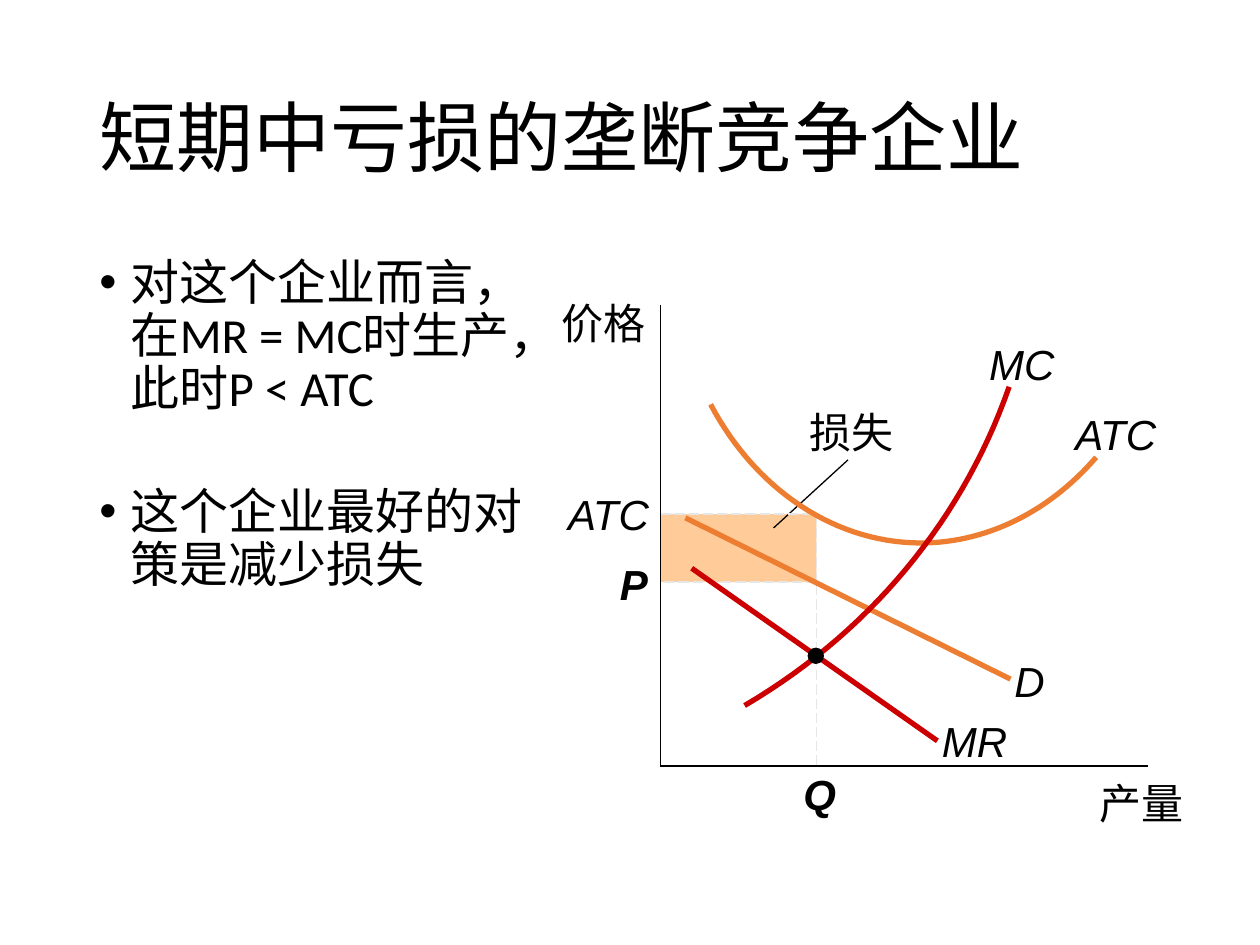
from dataclasses import dataclass

from lxml.etree import SubElement
from pptx import Presentation
from pptx.dml.color import RGBColor
from pptx.enum.dml import MSO_LINE
from pptx.enum.shapes import MSO_CONNECTOR, MSO_SHAPE
from pptx.enum.text import MSO_ANCHOR, PP_ALIGN
from pptx.oxml.ns import qn
from pptx.util import Inches, Pt


@dataclass(frozen=True)
class Theme:
    black: RGBColor = RGBColor(0x00, 0x00, 0x00)
    orange: RGBColor = RGBColor(0xED, 0x7D, 0x31)
    red: RGBColor = RGBColor(0xCC, 0x00, 0x00)
    loss: RGBColor = RGBColor(0xFF, 0xCC, 0x99)
    guide: RGBColor = RGBColor(0xE7, 0xE6, 0xE6)
    text_font: str = "Calibri"
    label_font: str = "Arial"
    title_size: Pt = Pt(44)
    body_size: Pt = Pt(28)
    label_size: Pt = Pt(24)
    thin: Pt = Pt(0.75)
    thick: Pt = Pt(3)


theme = Theme()


def style_paragraph(paragraph, font_name, size, bold=False, italic=False):
    for run in paragraph.runs:
        run.font.name = font_name
        run.font.size = size
        run.font.bold = bold
        run.font.italic = italic
        run.font.color.rgb = theme.black


def bezier_point(points, t):
    weights = ((1 - t) ** 3, 3 * t * (1 - t) ** 2, 3 * t**2 * (1 - t), t**3)
    return tuple(
        Inches(sum(weight * point[axis] for weight, point in zip(weights, points)))
        for axis in (0, 1)
    )


presentation = Presentation()
presentation.slide_width = Inches(10)
presentation.slide_height = Inches(7.5)
slide = presentation.slides.add_slide(presentation.slide_layouts[5])
shapes = slide.shapes

# Title
title = shapes.title
title.left, title.top = Inches(0.69), Inches(0.4)
title.width, title.height = Inches(8.62), Inches(1.45)
title.text_frame.text = "短期中亏损的垄断竞争企业"
title.text_frame.vertical_anchor = MSO_ANCHOR.MIDDLE
title_paragraph = title.text_frame.paragraphs[0]
title_paragraph.alignment = PP_ALIGN.LEFT
title_paragraph.line_spacing = 0.9
style_paragraph(title_paragraph, theme.text_font, theme.title_size)

# Bulleted text
body = shapes.add_textbox(Inches(0.69), Inches(2), Inches(3.72), Inches(4.76))
body.text_frame.word_wrap = True
body.text_frame.text = "对这个企业而言，在MR = MC时生产，此时P < ATC\n这个企业最好的对策是减少损失"
for paragraph, space_before in zip(body.text_frame.paragraphs, (10, 40)):
    paragraph.line_spacing = 0.9
    paragraph.space_before = Pt(space_before)
    style_paragraph(paragraph, theme.text_font, theme.body_size)
    properties = paragraph._p.get_or_add_pPr()
    properties.set("marL", str(Inches(0.25)))
    properties.set("indent", str(-Inches(0.25)))
    SubElement(properties, qn("a:buFont"), typeface="Arial")
    SubElement(properties, qn("a:buChar"), char="•")

# Loss area and equilibrium point
axis_x, axis_y = 5.24, 6.08
quantity_x, cost_y, price_y = 6.48, 4.08, 4.62
loss_area = shapes.add_shape(
    MSO_SHAPE.RECTANGLE, Inches(axis_x), Inches(cost_y),
    Inches(quantity_x - axis_x), Inches(price_y - cost_y),
)
loss_area.fill.solid()
loss_area.fill.fore_color.rgb = theme.loss
loss_area.line.fill.background()
loss_area.shadow.inherit = False

# Straight lines: start, end, colour, width, dashed
lines = [
    ((6.14, 4.19), (6.73, 3.65), theme.black, theme.thin, False),
    ((axis_x, cost_y), (quantity_x, cost_y), theme.guide, theme.thin, True),
    ((quantity_x, cost_y), (quantity_x, axis_y), theme.guide, theme.thin, True),
    ((quantity_x, price_y), (axis_x, price_y), theme.guide, theme.thin, True),
    ((axis_x, 2.42), (axis_x, axis_y), theme.black, theme.thin, False),
    ((axis_x, axis_y), (9.11, axis_y), theme.black, theme.thin, False),
    ((5.44, 4.11), (8.02, 5.39), theme.orange, theme.thick, False),
    ((5.49, 4.51), (7.44, 5.88), theme.red, theme.thick, False),
]
for start, end, color, width, dashed in lines:
    line = shapes.add_connector(
        MSO_CONNECTOR.STRAIGHT, *map(Inches, start), *map(Inches, end)
    )
    line.line.color.rgb = color
    line.line.width = width
    if dashed:
        line.line.dash_style = MSO_LINE.LONG_DASH
    SubElement(line._element.spPr, qn("a:effectLst"))

# Cost curves: colour and Bezier segments
atc_segments = [
    [(8.7, 3.63), (8.33, 4.06), (7.83, 4.31), (7.31, 4.31)],
    [(7.31, 4.31), (6.63, 4.31), (6, 3.89), (5.64, 3.21)],
]
mc_segments = [[(5.91, 5.6), (6.9, 5.02), (7.64, 4.13), (8.01, 3.07)]]
steps = 30
for color, segments in ((theme.orange, atc_segments), (theme.red, mc_segments)):
    builder = shapes.build_freeform(*map(Inches, segments[0][0]))
    builder.add_line_segments(
        [
            bezier_point(segment, step / steps)
            for segment in segments
            for step in range(1, steps + 1)
        ],
        close=False,
    )
    curve = builder.convert_to_shape()
    curve.fill.background()
    curve.line.color.rgb = color
    curve.line.width = theme.thick
    curve.shadow.inherit = False

equilibrium = shapes.add_shape(
    MSO_SHAPE.OVAL, Inches(6.41), Inches(5.14), Inches(0.13), Inches(0.13)
)
equilibrium.fill.solid()
equilibrium.fill.fore_color.rgb = theme.black
equilibrium.line.fill.background()
equilibrium.shadow.inherit = False

# Labels: text, left, top, width, height, alignment, bold, italic, has margins
center, right = PP_ALIGN.CENTER, PP_ALIGN.RIGHT
labels = [
    ("损失", 6.12, 3.18, 1.27, 0.5, center, False, False, True),
    ("产量", 8.05, 6.17, 1.34, 0.4, right, False, False, False),
    ("价格", 3.51, 2.31, 1.71, 0.5, right, False, False, True),
    ("ATC", 8.4, 3.24, 0.91, 0.4, center, False, True, False),
    ("Q", 6.22, 6.05, 0.57, 0.5, center, True, True, True),
    ("P", 4.92, 4.43, 0.22, 0.4, right, True, True, False),
    ("ATC", 4.41, 3.88, 0.74, 0.4, right, False, True, False),
    ("MC", 7.79, 2.69, 0.64, 0.4, center, False, True, False),
    ("D", 7.93, 5.2, 0.48, 0.4, center, False, True, False),
    ("MR", 7.41, 5.68, 0.65, 0.4, center, False, True, False),
]
for text, left, top, width, height, alignment, bold, italic, has_margins in labels:
    label = shapes.add_textbox(*map(Inches, (left, top, width, height)))
    frame = label.text_frame
    frame.word_wrap = True
    if not has_margins:
        frame.margin_left = frame.margin_right = 0
        frame.margin_top = frame.margin_bottom = 0
    frame.text = text
    frame.paragraphs[0].alignment = alignment
    style_paragraph(
        frame.paragraphs[0], theme.label_font, theme.label_size, bold, italic
    )

presentation.save("out.pptx")
